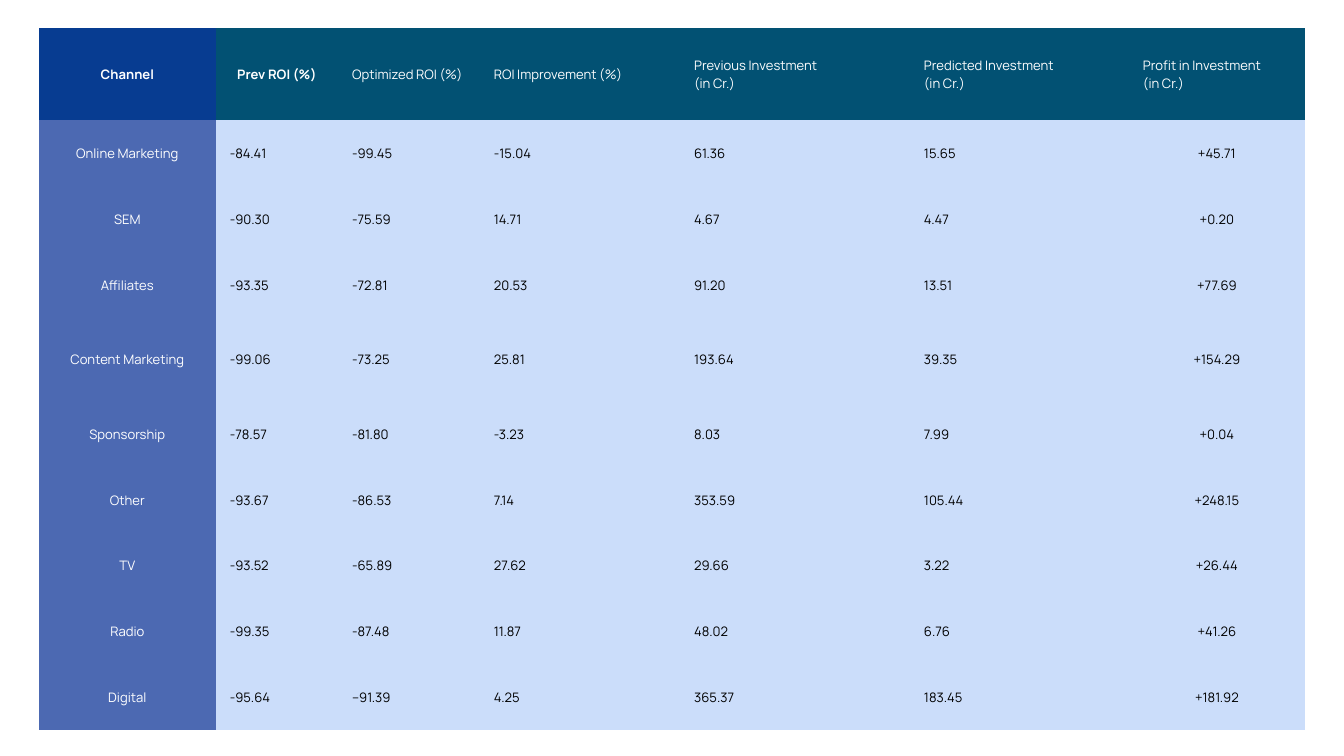
from lxml.etree import SubElement
from pptx import Presentation
from pptx.dml.color import RGBColor
from pptx.enum.text import MSO_ANCHOR, PP_ALIGN
from pptx.oxml.ns import qn
from pptx.util import Inches, Pt

WHITE = RGBColor(0xFF, 0xFF, 0xFF)
BLACK = RGBColor(0x00, 0x00, 0x00)
NAVY = RGBColor(0x07, 0x3C, 0x91)
TEAL = RGBColor(0x02, 0x51, 0x73)
INDIGO = RGBColor(0x4C, 0x69, 0xB2)
PALE_BLUE = RGBColor(0xCB, 0xDD, 0xFA)

FONT = "Manrope"
COLUMN_WIDTHS = [2.63, 1.82, 2.11, 2.98, 3.42, 3.26, 2.62]
HEADER_HEIGHT = 1.38
ROW_HEIGHT = 0.98
TALL_ROW_HEIGHT = 1.24
TALL_CHANNEL = "Content Marketing"

HEADERS = [
    "Channel",
    "Prev ROI (%)",
    "Optimized ROI (%)",
    "ROI Improvement (%)",
    "Previous Investment\n(in Cr.)",
    "Predicted Investment\n(in Cr.)",
    "Profit in Investment\n(in Cr.)",
]
CHANNELS = [
    ["Online Marketing", "-84.41", "-99.45", "-15.04", "61.36", "15.65", "+45.71"],
    ["SEM", "-90.30", "-75.59", "14.71", "4.67", "4.47", "+0.20"],
    ["Affiliates", "-93.35", "-72.81", "20.53", "91.20", "13.51", "+77.69"],
    ["Content Marketing", "-99.06", "-73.25", "25.81", "193.64", "39.35", "+154.29"],
    ["Sponsorship", "-78.57", "-81.80", "-3.23", "8.03", "7.99", "+0.04"],
    ["Other", "-93.67", "-86.53", "7.14", "353.59", "105.44", "+248.15"],
    ["TV", "-93.52", "-65.89", "27.62", "29.66", "3.22", "+26.44"],
    ["Radio", "-99.35", "-87.48", "11.87", "48.02", "6.76", "+41.26"],
    ["Digital", "-95.64", "--91.39", "4.25", "365.37", "183.45", "+181.92"],
]
LEFT, CENTER, JUSTIFY = PP_ALIGN.LEFT, PP_ALIGN.CENTER, PP_ALIGN.JUSTIFY
HEADER_ALIGNS = [CENTER, CENTER, LEFT, LEFT, LEFT, LEFT, LEFT]
BODY_ALIGNS = [CENTER, LEFT, LEFT, LEFT, JUSTIFY, JUSTIFY, CENTER]


def hide_borders(cell):
    tc_pr = cell._tc.get_or_add_tcPr()
    for side in ("a:lnL", "a:lnR", "a:lnT", "a:lnB"):
        SubElement(SubElement(tc_pr, qn(side), w="0"), qn("a:noFill"))


def fill_cell(cell, text, align, fill, color, bold=False):
    hide_borders(cell)
    cell.fill.solid()
    cell.fill.fore_color.rgb = fill
    cell.vertical_anchor = MSO_ANCHOR.MIDDLE
    cell.margin_left = cell.margin_right = Inches(0.21)
    cell.margin_top = cell.margin_bottom = Inches(0.21)
    cell.text_frame.text = text
    for p in cell.text_frame.paragraphs:
        p.alignment = align
        p.line_spacing = Pt(19.6)
        for r in p.runs:
            r.font.name = FONT
            r.font.size = Pt(14)
            r.font.bold = bold
            r.font.color.rgb = color


def add_roi_table(slide):
    heights = [HEADER_HEIGHT] + [
        TALL_ROW_HEIGHT if row[0] == TALL_CHANNEL else ROW_HEIGHT for row in CHANNELS
    ]
    table = slide.shapes.add_table(
        len(heights), len(COLUMN_WIDTHS), Inches(0.58), Inches(0.41),
        Inches(sum(COLUMN_WIDTHS)), Inches(sum(heights)),
    ).table
    table.first_row = False
    table.horz_banding = False
    for column, width in zip(table.columns, COLUMN_WIDTHS):
        column.width = Inches(width)
    for row, height in zip(table.rows, heights):
        row.height = Inches(height)
    return table


def fill_header(table):
    for col, (text, align) in enumerate(zip(HEADERS, HEADER_ALIGNS)):
        fill = NAVY if col == 0 else TEAL
        fill_cell(table.cell(0, col), text, align, fill, WHITE, bold=col < 2)


def fill_body(table):
    for row, values in enumerate(CHANNELS, start=1):
        for col, (text, align) in enumerate(zip(values, BODY_ALIGNS)):
            fill, color = (INDIGO, WHITE) if col == 0 else (PALE_BLUE, BLACK)
            fill_cell(table.cell(row, col), text, align, fill, color)


def main():
    prs = Presentation()
    prs.slide_width = Inches(20)
    prs.slide_height = Inches(11.25)
    slide = prs.slides.add_slide(prs.slide_layouts[6])
    table = add_roi_table(slide)
    fill_header(table)
    fill_body(table)
    prs.save("out.pptx")


if __name__ == "__main__":
    main()
